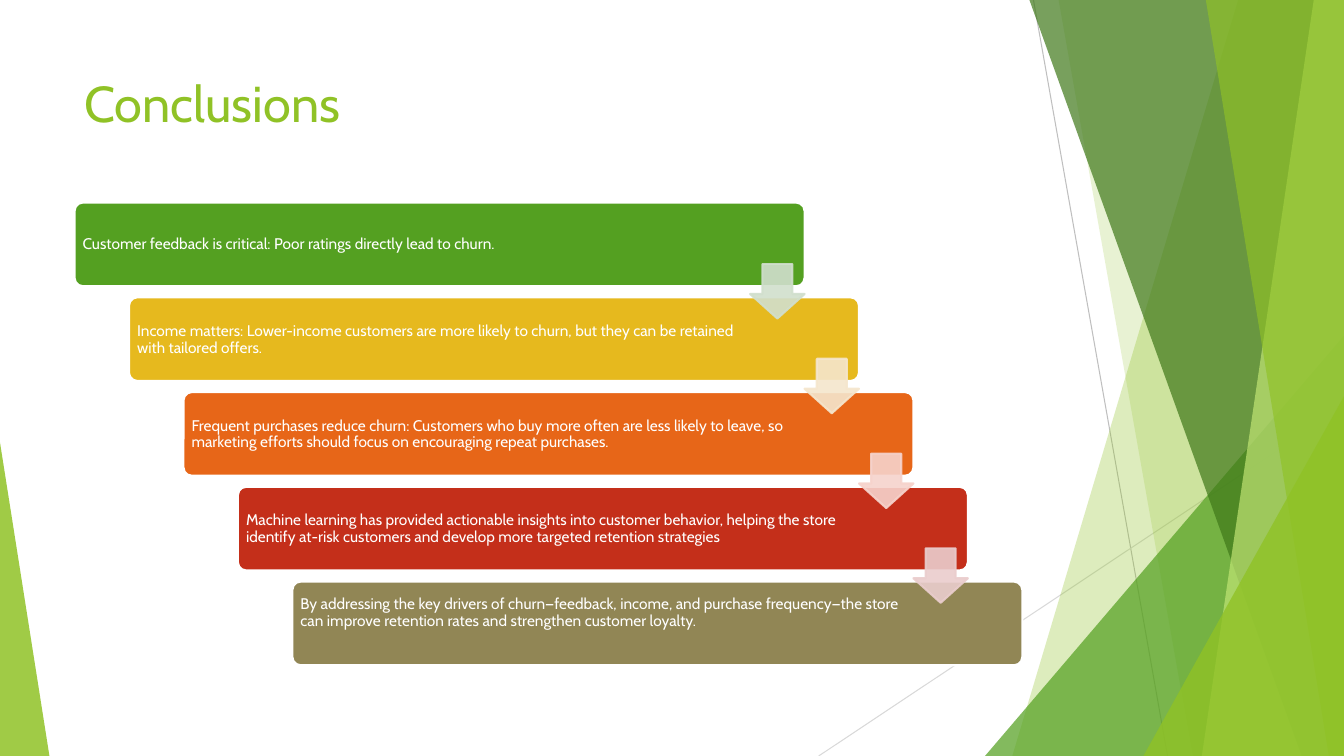
"""Build the Conclusions slide: a staircase of five findings beside green facets."""
from lxml.etree import SubElement
from pptx import Presentation
from pptx.dml.color import RGBColor
from pptx.enum.shapes import MSO_CONNECTOR, MSO_SHAPE as Preset
from pptx.enum.text import MSO_ANCHOR as Anchor
from pptx.oxml.ns import qn
from pptx.util import Inches, Pt

WIDTH, HEIGHT = 13.33, 7.5


def paint(shape, fill, line=None, alpha=100):
    shape.shadow.inherit = False
    shape.fill.solid()
    shape.fill.fore_color.rgb = RGBColor.from_string(fill)
    if line:
        shape.line.color.rgb = RGBColor.from_string(line)
        shape.line.width = Pt(1.5)
    else:
        shape.line.fill.background()
    if alpha < 100:
        for color in shape._element.spPr.iter(qn("a:srgbClr")):
            SubElement(color, qn("a:alpha")).set("val", str(alpha * 1000))


def write(left, top, width, height, text, size, color, frame_format):
    box = page.shapes.add_textbox(Inches(left), Inches(top), Inches(width), Inches(height))
    for name, value in frame_format.items():
        setattr(box.text_frame, name, value)
    para = box.text_frame.paragraphs[0]
    para.line_spacing = 0.9 if size < 20 else 1.0
    span = para.add_run()
    span.text = text
    for name, value in {"name": "Cabin", "size": Pt(size)}.items():
        setattr(span.font, name, value)
    span.font.color.rgb = RGBColor.from_string(color)


deck = Presentation()
deck.slide_width, deck.slide_height = Inches(WIDTH), Inches(HEIGHT)
page = deck.slides.add_slide(deck.slide_layouts[6])

for start_x, start_y, end_x, color in [(10.25, 0, 11.58, "BFBFBF"), (WIDTH, 4.03, 8.12, "D9D9D9")]:
    ray = page.shapes.add_connector(
        MSO_CONNECTOR.STRAIGHT, Inches(start_x), Inches(start_y), Inches(end_x), Inches(HEIGHT))
    ray.line.color.rgb = RGBColor.from_string(color)
    ray.line.width = Pt(0.75)
    SubElement(ray._element.spPr, qn("a:effectLst"))

facets = [
    ("band", 12.28, 10.04, "90C226", 30),
    ("band", 10.5, 11.83, "90C226", 20),
    ("triangle", 9.77, 3.33, "54A021", 72),
    ("band", 10.21, 12.91, "3F7819", 70),
    ("band", 13.03, 11.92, "C0E474", 70),
    ("band", 11.96, 13.18, "90C226", 65),
    ("triangle", 11.34, 3.93, "90C226", 80),
    ("left triangle", 0, 4.39, "90C226", 85),
]
for kind, first, second, color, alpha in facets:
    if kind == "band":
        outline = page.shapes.build_freeform(Inches(first), 0, scale=1.0)
        corners = [(WIDTH, 0), (WIDTH, HEIGHT), (second, HEIGHT)]
        outline.add_line_segments([(Inches(x), Inches(y)) for x, y in corners], close=True)
        facet = outline.convert_to_shape()
    else:
        width = WIDTH - first if kind == "triangle" else 0.49
        facet = page.shapes.add_shape(
            Preset.ISOSCELES_TRIANGLE, Inches(first), Inches(second), Inches(width), Inches(HEIGHT - second))
        facet.adjustments[0] = 1 if kind == "triangle" else 0
    paint(facet, color, alpha=alpha)

write(0.74, 0.67, 9.4, 1.44, "Conclusions", 36, "90C226",
      {"word_wrap": True, "vertical_anchor": Anchor.TOP})

findings = [
    ("54A021", "Customer feedback is critical: Poor ratings directly lead to churn."),
    ("E6B91E", "Income matters: Lower-income customers are more likely to churn, "
               "but they can be retained with tailored offers."),
    ("E76618", "Frequent purchases reduce churn: Customers who buy more often are less likely to leave, "
               "so marketing efforts should focus on encouraging repeat purchases."),
    ("C42F1A", "Machine learning has provided actionable insights into customer behavior, helping the store "
               "identify at-risk customers and develop more targeted retention strategies"),
    ("918655", "By addressing the key drivers of churn—feedback, income, and purchase frequency—the store "
               "can improve retention rates and strengthen customer loyalty."),
]
STEP_X, STEP_Y = 0.54, 0.94
margins = ("margin_left", "margin_top", "margin_right", "margin_bottom")
finding_format = {"word_wrap": True, "vertical_anchor": Anchor.MIDDLE, **dict.fromkeys(margins, Inches(0.05))}
for step, (color, text) in enumerate(findings):
    left, top = 0.74 + step * STEP_X, 2.01 + step * STEP_Y
    bar = page.shapes.add_shape(
        Preset.ROUNDED_RECTANGLE, Inches(left), Inches(top), Inches(7.24), Inches(0.83))
    bar.adjustments[0] = 0.1
    paint(bar, color, "FFFFFF")
    if step == len(findings) - 1:
        finding_format["margin_bottom"] = Inches(0.27)
    write(left + 0.03, top + 0.03, 6.11 if step else 6.25, 0.78, text, 11, "FFFFFF", finding_format)

for step, color in enumerate(["D1DFCD", "F5E6CD", "F6D3CC", "EACDCD"]):
    arrow = page.shapes.add_shape(
        Preset.DOWN_ARROW, Inches(7.44 + step * STEP_X), Inches(2.62 + step * STEP_Y),
        Inches(0.54), Inches(0.54))
    arrow.adjustments[0], arrow.adjustments[1] = 0.55, 0.45
    paint(arrow, color, color, 90)

deck.save("out.pptx")
